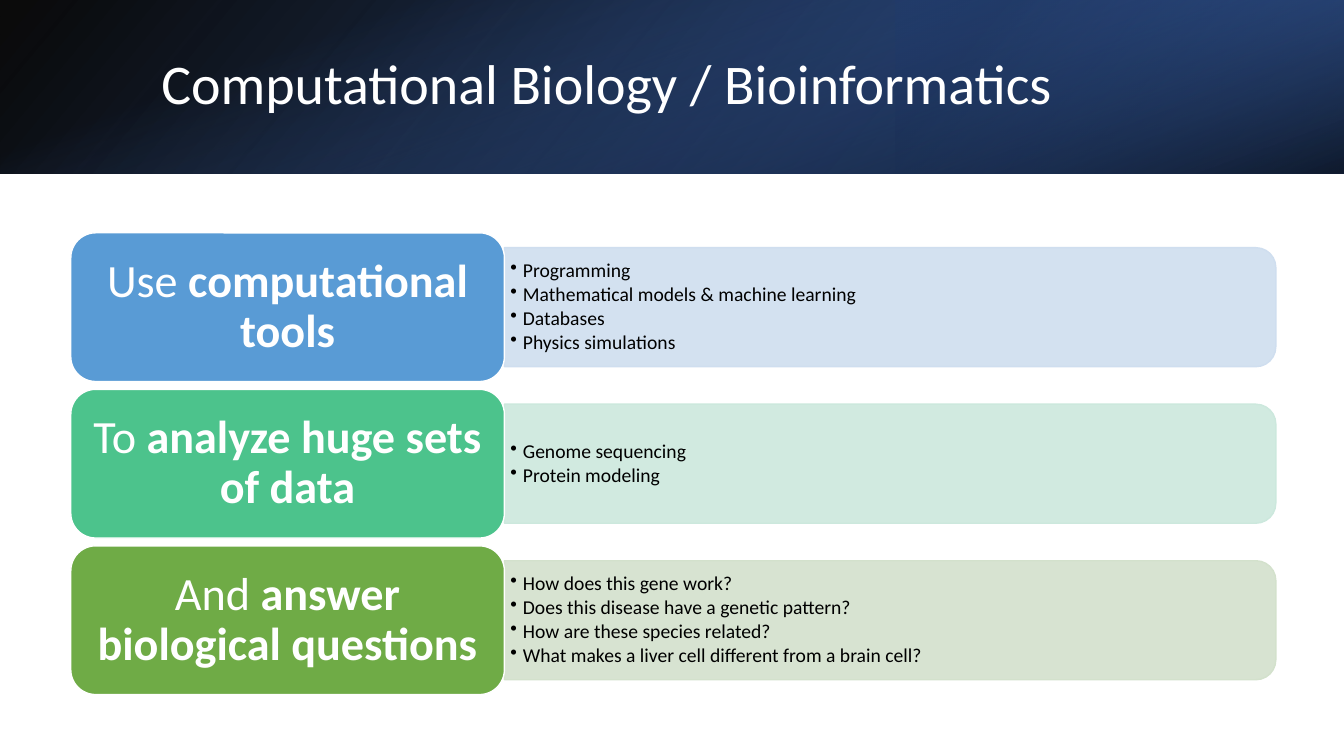
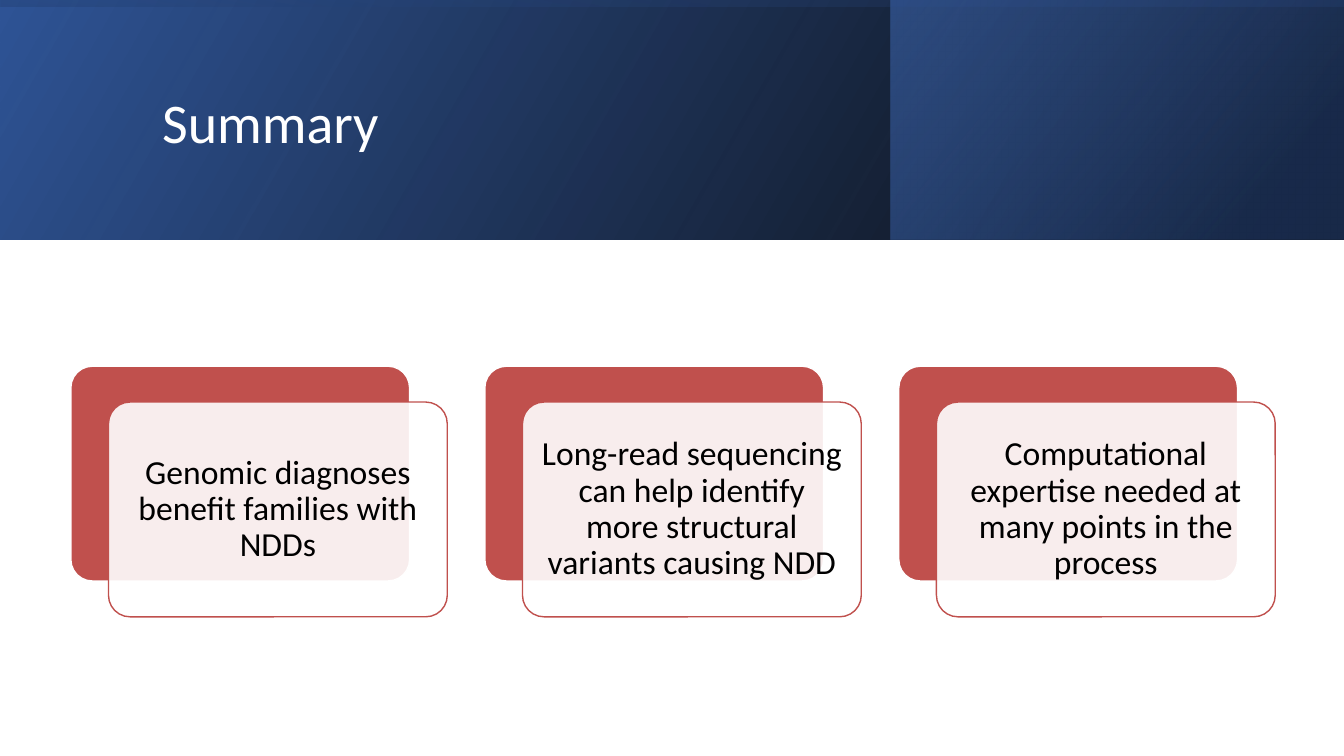
"""Build two slides on computational biology with gradient title bands."""
from dataclasses import dataclass

from lxml import etree
from pptx import Presentation
from pptx.dml.color import RGBColor
from pptx.enum.shapes import MSO_SHAPE
from pptx.enum.text import MSO_ANCHOR, MSO_AUTO_SIZE, PP_ALIGN
from pptx.oxml.ns import qn
from pptx.util import Pt

RECT = MSO_SHAPE.RECTANGLE
ROUND = MSO_SHAPE.ROUNDED_RECTANGLE
ROUND_TOP = MSO_SHAPE.ROUND_2_SAME_RECTANGLE
MIDDLE = MSO_ANCHOR.MIDDLE
LEFT, CENTER = PP_ALIGN.LEFT, PP_ALIGN.CENTER


@dataclass(frozen=True)
class Theme:
    """Colours, font and type sizes."""
    font: str = "Calibri"
    white: str = "FFFFFF"
    black: str = "000000"
    navy: str = "1F3864"
    blue: str = "2F5496"
    sky: str = "4472C4"
    red: str = "C0504D"
    title: float = 40
    tile: float = 33
    card: float = 24
    bullet: float = 14
    spacing: float = 0.9


T = Theme()
WIDTH, HEIGHT = 960, 540

BASE_STOPS = [(0, T.black, 96), (100, T.blue, 100)]


def side_stops(end_alpha):
    """Return the stops of the right-hand band."""
    return [(0, T.navy, 68), (19, T.navy, 68), (100, T.sky, end_alpha)]


def shade_stops(color, start_alpha, end_alpha):
    """Return the stops of the shading band."""
    return [(0, color, start_alpha), (23, color, start_alpha),
            (99, T.black, end_alpha), (100, T.black, end_alpha)]


BIOLOGY = {
    "title": "Computational Biology / Bioinformatics",
    "title_box": (108, 27.4, 790, 69),
    "band_height": 124,
    "bands": [
        dict(left=0, stops=BASE_STOPS, angle=140, flip=True),
        dict(left=640, stops=side_stops(79), angle=320, flip=True, rotation=180),
        dict(left=0, stops=shade_stops(T.sky, 0, 74), angle=340, rotation=90),
    ],
}
SUMMARY = {
    "title": "Summary",
    "title_box": (108.6, 27.4, 765, 123.8),
    "band_height": 171,
    "bands": [
        dict(left=0, stops=BASE_STOPS, angle=330, flip=True),
        dict(left=636, stops=side_stops(48), angle=320, flip=True),
        dict(left=0, stops=shade_stops(T.blue, 16, 45), angle=350, flip=True,
             rotation=270),
    ],
}
STEPS = [
    ("Use ", "computational tools", "599BD5", "CFDEEF",
     ["Programming", "Mathematical models & machine learning", "Databases",
      "Physics simulations"]),
    ("To ", "analyze huge sets of data", "4CC38C", "CCE8DD",
     ["Genome sequencing", "Protein modeling"]),
    ("And ", "answer biological questions", "6FAB46", "D3E1CC",
     ["How does this gene work?", "Does this disease have a genetic pattern?",
      "How are these species related?",
      "What makes a liver cell different from a brain cell?"]),
]
POINTS = [
    "Genomic diagnoses benefit families with NDDs",
    "Long-read sequencing can help identify more structural variants causing NDD",
    "Computational expertise needed at many points in the process",
]


def pts(*values):
    """Convert numbers to point lengths."""
    return [Pt(v) for v in values]


def add_alpha(color, percent):
    """Set the opacity of a colour element."""
    etree.SubElement(color, qn("a:alpha")).set("val", str(percent * 1000))


def add_box(s, kind, box, fill=None, line=None, alpha=100, rotation=0, adj=()):
    """Add a plain shape; box is where it shows after a quarter turn."""
    x, y, w, h = box
    if rotation % 180:
        x, y, w, h = x + (w - h) / 2, y + (h - w) / 2, h, w
    sp = s.shapes.add_shape(kind, *pts(x, y, w, h))
    sp.rotation = rotation
    sp.shadow.inherit = False
    for i, value in enumerate(adj):
        sp.adjustments[i] = value
    if fill:
        sp.fill.solid()
        sp.fill.fore_color.rgb = RGBColor.from_string(fill)
    if line:
        sp.line.width = Pt(1)
        sp.line.color.rgb = RGBColor.from_string(line)
    else:
        sp.line.fill.background()
    if alpha < 100:
        add_alpha(sp.element.spPr.find(qn("a:solidFill")).find(qn("a:srgbClr")), alpha)
    return sp


def add_band(s, left, height, stops, angle, flip=False, rotation=0):
    """Add a gradient band that runs to the right edge of the slide."""
    sp = add_box(s, RECT, (left, 0, WIDTH - left, height), rotation=rotation)
    pr = sp.element.spPr
    if flip:
        pr.find(qn("a:xfrm")).set("flipH", "1")
    grad = etree.Element(qn("a:gradFill"), rotWithShape="1")
    stop_list = etree.SubElement(grad, qn("a:gsLst"))
    for position, color, alpha in stops:
        stop = etree.SubElement(stop_list, qn("a:gs"), pos=str(position * 1000))
        add_alpha(etree.SubElement(stop, qn("a:srgbClr"), val=color), alpha)
    etree.SubElement(grad, qn("a:lin"), ang=str(angle * 60000), scaled="0")
    pr.find(qn("a:prstGeom")).addnext(grad)
    return sp


def set_frame(sp, margin_x, margin_y):
    """Prepare a wrapped, middle-anchored text frame."""
    tf = sp.text_frame
    tf.word_wrap = True
    tf.auto_size = MSO_AUTO_SIZE.NONE
    tf.vertical_anchor = MIDDLE
    tf.margin_left = tf.margin_right = Pt(margin_x)
    tf.margin_top = tf.margin_bottom = Pt(margin_y)
    return tf


def style(p, size, color, align=LEFT):
    """Format a paragraph."""
    p.alignment = align
    p.line_spacing = T.spacing
    p.font.name = T.font
    p.font.size = Pt(size)
    p.font.color.rgb = RGBColor.from_string(color)


def add_slide(prs, head):
    """Add a slide with its bands and title."""
    s = prs.slides.add_slide(prs.slide_layouts[5])
    title = s.shapes.title
    title.left, title.top, title.width, title.height = pts(*head["title_box"])
    for band in head["bands"]:
        title.element.addprevious(
            add_band(s, height=head["band_height"], **band).element)
    tf = set_frame(title, 7.2, 3.6)
    tf.text = head["title"]
    style(tf.paragraphs[0], T.title, T.white)
    return s


def add_bullets(s, box, items):
    """Add a bulleted list."""
    tf = set_frame(s.shapes.add_textbox(*pts(*box)), 4.2, 2.1)
    for i, item in enumerate(items):
        p = tf.add_paragraph() if i else tf.paragraphs[0]
        p.text = item
        p.level = 1
        pr = p._p.get_or_add_pPr()
        pr.set("marL", str(Pt(9)))
        pr.set("indent", str(-Pt(9)))
        etree.SubElement(pr, qn("a:buChar"), char="•")
        style(p, T.bullet, T.black)
        p.space_before = Pt(2.1 if i else 0)


def add_steps(s):
    """Stack the tiles, each with a panel of details."""
    left, top, w, h, pitch = 50.6, 166.3, 309.7, 106.2, 111.8
    panel_w, panel_h = 551, 85
    for i, (lead, strong, color, tint, items) in enumerate(STEPS):
        y = top + i * pitch
        panel = (left + w, y + (h - panel_h) / 2, panel_w, panel_h)
        add_box(s, ROUND_TOP, panel, tint, tint, 90, 90, (0.167, 0))
        add_bullets(s, panel, items)
        tile = add_box(s, ROUND, (left, y, w, h), color, T.white, adj=[0.167])
        p = set_frame(tile, 10, 5).paragraphs[0]
        style(p, T.tile, T.white, CENTER)
        p.add_run().text = lead
        r = p.add_run()
        r.text = strong
        r.font.bold = True


def add_cards(s):
    """Set the cards in a row, each over a coloured backing."""
    left, top, w, h, pitch = 50.6, 261.6, 242, 153.4, 295.7
    shift_x, shift_y = 26.9, 25.6
    for i, point in enumerate(POINTS):
        x = left + i * pitch
        add_box(s, ROUND, (x, top, w, h), T.red, T.white, adj=[0.1])
        card = add_box(s, ROUND, (x + shift_x, top + shift_y, w, h), T.white,
                       T.red, 90, adj=[0.1])
        p = set_frame(card, 7.2, 7.2).paragraphs[0]
        p.text = point
        style(p, T.card, T.black, CENTER)


def main():
    """Build and save the presentation."""
    prs = Presentation()
    prs.slide_width, prs.slide_height = pts(WIDTH, HEIGHT)
    add_steps(add_slide(prs, BIOLOGY))
    add_cards(add_slide(prs, SUMMARY))
    prs.save("out.pptx")


if __name__ == "__main__":
    main()
